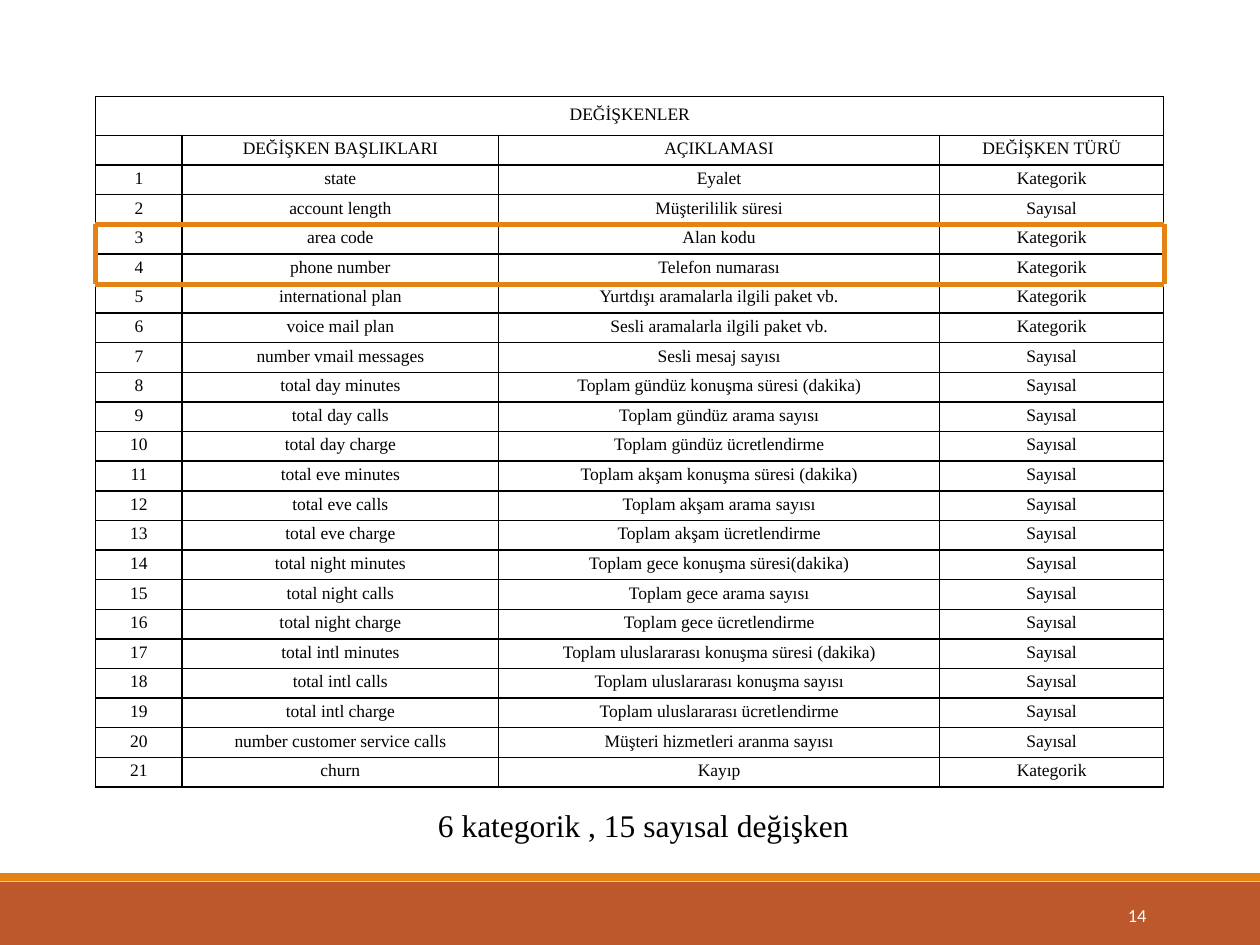
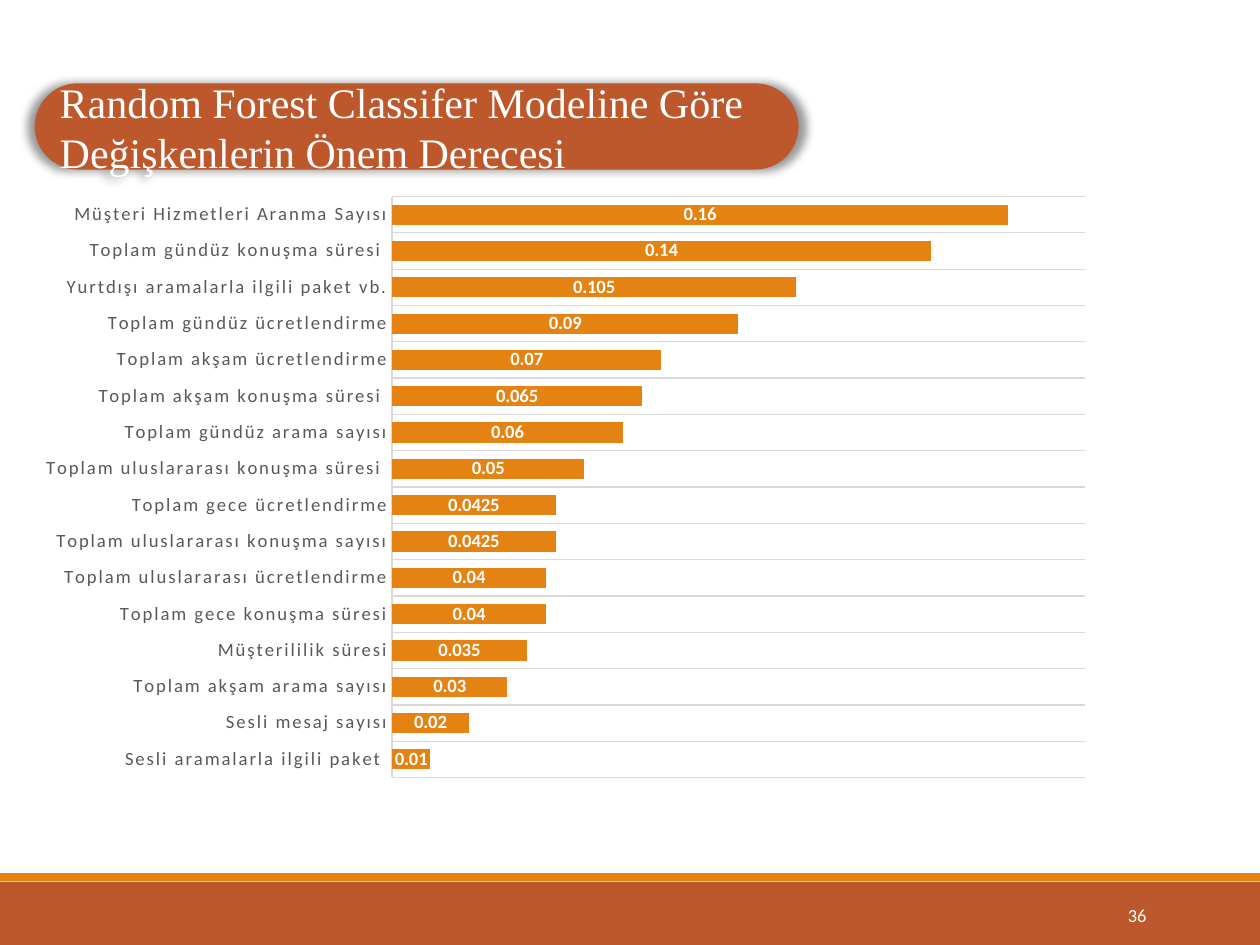
from lxml.etree import SubElement
from pptx import Presentation
from pptx.chart.data import CategoryChartData
from pptx.dml.color import RGBColor
from pptx.enum.chart import XL_CHART_TYPE as ChartType, XL_TICK_MARK as TickMark
from pptx.enum.shapes import MSO_CONNECTOR as Connector, MSO_SHAPE as Shape
from pptx.enum.text import MSO_ANCHOR as Anchor, MSO_AUTO_SIZE as AutoSize, PP_ALIGN as Align
from pptx.oxml.ns import qn
from pptx.util import Cm, Pt

RUST = RGBColor(0xBD, 0x58, 0x2C)
ORANGE = RGBColor(0xE4, 0x83, 0x12)
BLACK = RGBColor(0, 0, 0)
WHITE = RGBColor(0xFF, 0xFF, 0xFF)
GRAY = RGBColor(0x59, 0x59, 0x59)
LIGHT_GRAY = RGBColor(0xD9, 0xD9, 0xD9)
SERIF, SANS = "Times New Roman", "Calibri"

# Variable table: geometry in centimetres
TABLE_LEFT, TABLE_TOP, TABLE_HEIGHT = 1.93, 1.95, 13.93
TITLE_ROW_HEIGHT = 0.78
COLUMN_WIDTHS = [1.74, 6.38, 8.89, 4.52]
HEADINGS = ["", "DEĞİŞKEN BAŞLIKLARI", "AÇIKLAMASI", "DEĞİŞKEN TÜRÜ"]
CATEGORICAL = {1, 3, 4, 5, 6, 21}
VARIABLES = [
    ("state", "Eyalet"),
    ("account length", "Müşterililik süresi"),
    ("area code", "Alan kodu"),
    ("phone number", "Telefon numarası"),
    ("international plan", "Yurtdışı aramalarla ilgili paket vb."),
    ("voice mail plan", "Sesli aramalarla ilgili paket vb."),
    ("number vmail messages", "Sesli mesaj sayısı"),
    ("total day minutes", "Toplam gündüz konuşma süresi (dakika)"),
    ("total day calls", "Toplam gündüz arama sayısı"),
    ("total day charge", "Toplam gündüz ücretlendirme"),
    ("total eve minutes", "Toplam akşam konuşma süresi (dakika)"),
    ("total eve calls", "Toplam akşam arama sayısı"),
    ("total eve charge", "Toplam akşam ücretlendirme"),
    ("total night minutes", "Toplam gece konuşma süresi(dakika)"),
    ("total night calls", "Toplam gece arama sayısı"),
    ("total night charge", "Toplam gece ücretlendirme"),
    ("total intl minutes", "Toplam uluslararası konuşma süresi (dakika)"),
    ("total intl calls", "Toplam uluslararası konuşma sayısı"),
    ("total intl charge", "Toplam uluslararası ücretlendirme"),
    ("number customer service calls", "Müşteri hizmetleri aranma sayısı"),
    ("churn", "Kayıp"),
]

IMPORTANCE = [
    ("Müşteri Hizmetleri Aranma Sayısı", 0.16),
    ("Toplam gündüz konuşma süresi ", 0.14),
    ("Yurtdışı aramalarla ilgili paket vb.", 0.105),
    ("Toplam gündüz ücretlendirme", 0.09),
    ("Toplam akşam ücretlendirme", 0.07),
    ("Toplam akşam konuşma süresi ", 0.065),
    ("Toplam gündüz arama sayısı", 0.06),
    ("Toplam uluslararası konuşma süresi ", 0.05),
    ("Toplam gece ücretlendirme", 0.0425),
    ("Toplam uluslararası konuşma sayısı", 0.0425),
    ("Toplam uluslararası ücretlendirme", 0.04),
    ("Toplam gece konuşma süresi", 0.04),
    ("Müşterililik süresi", 0.035),
    ("Toplam akşam arama sayısı", 0.03),
    ("Sesli mesaj sayısı", 0.02),
    ("Sesli aramalarla ilgili paket ", 0.01),
]


def style_font(font, face, size, color, bold=False):
    font.name, font.size, font.bold = face, Pt(size), bold
    font.color.rgb = color


def add_span(para, text, face, size, color):
    span = para.add_run()
    span.text = text
    style_font(span.font, face, size, color)


def add_block(page, kind, left, top, width, height, color):
    block = page.shapes.add_shape(kind, Cm(left), Cm(top), Cm(width), Cm(height))
    block.shadow.inherit = False
    block.fill.solid()
    block.fill.fore_color.rgb = color
    block.line.fill.background()
    return block


def add_text(page, left, top, width, height):
    box = page.shapes.add_textbox(Cm(left), Cm(top), Cm(width), Cm(height))
    box.text_frame.word_wrap = True
    return box.text_frame


def add_page(deck, number):
    """Blank page with the two footer bands and the page number."""
    page = deck.slides.add_slide(deck.slide_layouts[6])
    add_block(page, Shape.RECTANGLE, 0, 17.78, 25.4, 1.27, RUST)
    add_block(page, Shape.RECTANGLE, 0, 17.6, 25.4, 0.17, ORANGE)
    frame = add_text(page, 20.62, 17.93, 2.74, 1.02)
    frame.vertical_anchor = Anchor.MIDDLE
    para = frame.paragraphs[0]
    para.alignment = Align.RIGHT
    add_span(para, str(number), SANS, 10.5, WHITE)
    return page


def add_border(props, side):
    border = SubElement(props, qn(f"a:ln{side}"), w=str(Pt(1)))
    fill = SubElement(border, qn("a:solidFill"))
    SubElement(fill, qn("a:srgbClr"), val=str(BLACK))


def fill_cell(cell, text, margins):
    # Borders come before the fill in the cell properties
    props = cell._tc.get_or_add_tcPr()
    for side in "LRTB":
        add_border(props, side)
    cell.fill.background()
    (cell.margin_left, cell.margin_top,
     cell.margin_right, cell.margin_bottom) = map(Cm, margins)
    para = cell.text_frame.paragraphs[0]
    para.alignment = Align.CENTER
    para.line_spacing, para.space_after = 1.15, Pt(10)
    if text:
        add_span(para, text, SERIF, 10, BLACK)
    else:
        SubElement(para._p, qn("a:endParaRPr"), sz="1000")


def add_variable_table(page):
    rows = [["DEĞİŞKENLER", "", "", ""], HEADINGS]
    for number, (name, meaning) in enumerate(VARIABLES, 1):
        kind = "Kategorik" if number in CATEGORICAL else "Sayısal"
        rows.append([str(number), name, meaning, kind])
    row_height = (TABLE_HEIGHT - TITLE_ROW_HEIGHT) / (len(rows) - 1)

    holder = page.shapes.add_table(
        len(rows), len(HEADINGS), Cm(TABLE_LEFT), Cm(TABLE_TOP),
        Cm(sum(COLUMN_WIDTHS)), Cm(TABLE_HEIGHT))
    table = holder.table
    table.first_row = table.horz_banding = False
    for column, width in zip(table.columns, COLUMN_WIDTHS):
        column.width = Cm(width)
    for index, texts in enumerate(rows):
        table.rows[index].height = Cm(row_height if index else TITLE_ROW_HEIGHT)
        margins = (0.15, 0.02, 0.15, 0) if index else (0.2, 0.1, 0.2, 0.1)
        for column, text in enumerate(texts):
            fill_cell(table.cell(index, column), text, margins)
    table.cell(0, 0).merge(table.cell(0, len(HEADINGS) - 1))


def add_frame(page, left, top, right, bottom):
    """Four thick lines around the highlighted rows."""
    corners = [(left, top), (right, top), (right, bottom), (left, bottom)]
    for start, end in zip(corners, corners[1:] + corners[:1]):
        line = page.shapes.add_connector(Connector.STRAIGHT, *map(Cm, start + end))
        line.line.color.rgb = ORANGE
        line.line.width = Pt(3)
        SubElement(line._element.spPr, qn("a:effectLst"))


def add_caption(page, text):
    frame = add_text(page, 3.5, 16.13, 18.21, 1.02)
    frame.auto_size = AutoSize.SHAPE_TO_FIT_TEXT
    para = frame.paragraphs[0]
    para._p.get_or_add_pPr().set("marL", str(Cm(5.08)))
    add_span(para, text, SERIF, 18, BLACK)


def add_title(page, text):
    pill = add_block(page, Shape.ROUNDED_RECTANGLE, 0.7, 1.68, 15.4, 1.74, RUST)
    pill.adjustments[0] = 0.5
    # Soft shadow, slightly larger than the shape
    effects = pill._element.spPr.find(qn("a:effectLst"))
    shadow = SubElement(effects, qn("a:outerShdw"), blurRad=str(Pt(5)),
                        sx="102000", sy="102000", algn="ctr", rotWithShape="0")
    color = SubElement(shadow, qn("a:srgbClr"), val=str(BLACK))
    SubElement(color, qn("a:alpha"), val="40000")
    frame = pill.text_frame
    frame.word_wrap = True
    frame.vertical_anchor = Anchor.MIDDLE
    para = frame.paragraphs[0]
    para.alignment = Align.LEFT
    add_span(para, text, SERIF, 24, WHITE)


def set_plot_area(chart, **fractions):
    area = chart._chartSpace.chart.plotArea
    layout = area.find(qn("c:layout"))
    if layout is None:
        layout = SubElement(area, qn("c:layout"))
        area.insert(0, layout)
    manual = SubElement(layout, qn("c:manualLayout"))
    settings = {"layoutTarget": "inner", "xMode": "edge", "yMode": "edge", **fractions}
    for name, value in settings.items():
        SubElement(manual, qn(f"c:{name}"), val=str(value))


def add_importance_chart(page):
    data = CategoryChartData()
    data.categories = [name for name, _ in IMPORTANCE]
    data.add_series("Series 1", [value for _, value in IMPORTANCE])
    chart = page.shapes.add_chart(
        ChartType.BAR_STACKED, Cm(0.48), Cm(3.72), Cm(21.83), Cm(12.2), data).chart
    chart.has_legend = chart.has_title = False
    style_font(chart.font, SANS, 10, BLACK)
    set_plot_area(chart, x=0.34, y=0.02, w=0.64, h=0.96)

    # Axes
    names = chart.category_axis
    names.reverse_order = True
    names.major_tick_mark = names.minor_tick_mark = TickMark.NONE
    names.has_major_gridlines = True
    for line in (names.format.line, names.major_gridlines.format.line):
        line.color.rgb = LIGHT_GRAY
        line.width = Pt(0.75)
    style_font(names.tick_labels.font, SANS, 10.64, GRAY)
    letters = names.tick_labels.font._element
    letters.set("spc", "120")
    letters.set("kern", "1200")
    values = chart.value_axis
    values.visible = values.has_major_gridlines = False
    values.minimum_scale, values.maximum_scale = 0, 0.18

    # Bars and their labels
    plot = chart.plots[0]
    plot.gap_width, plot.overlap = 79, 100
    plot.vary_by_categories = False
    bars = plot.series[0]
    bars.format.fill.solid()
    bars.format.fill.fore_color.rgb = ORANGE
    bars.data_labels.show_value = True
    style_font(bars.data_labels.font, SANS, 10.64, WHITE, bold=True)


def main():
    deck = Presentation()
    deck.slide_width, deck.slide_height = Cm(25.4), Cm(19.05)

    # Variables
    page = add_page(deck, 14)
    add_variable_table(page)
    add_frame(page, 1.92, 4.52, 23.47, 5.73)
    add_caption(page, "6 kategorik , 15 sayısal değişken")

    # Importance of the variables
    page = add_page(deck, 36)
    add_importance_chart(page)
    add_title(page, "Random Forest Classifer Modeline Göre Değişkenlerin Önem Derecesi")

    deck.save("out.pptx")


if __name__ == "__main__":
    main()
